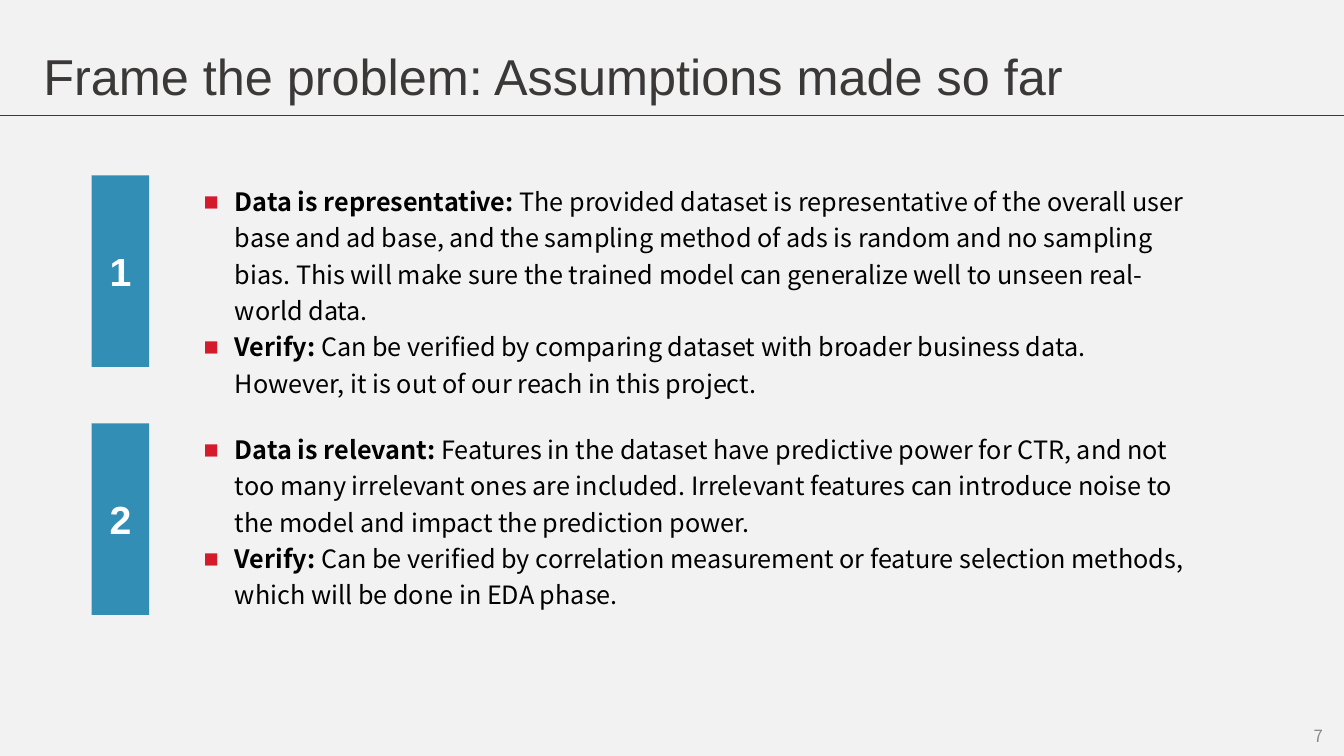
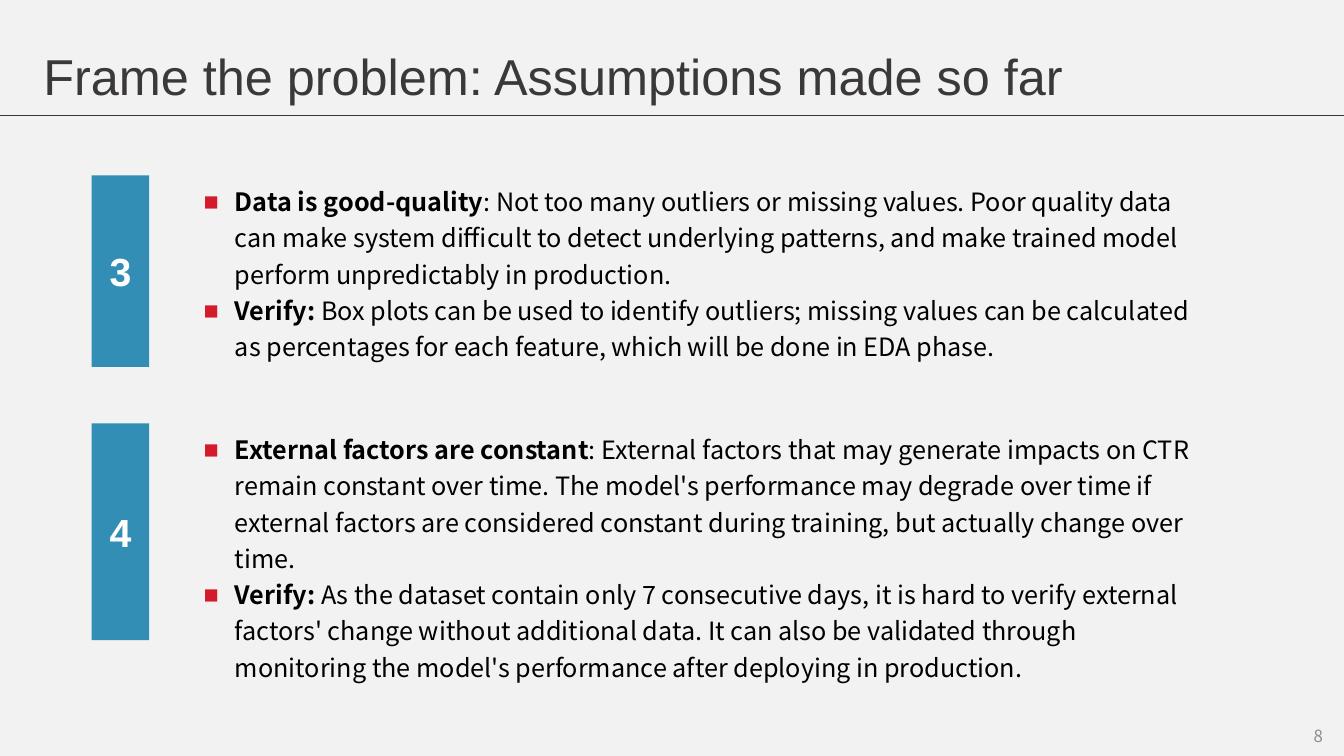
from dataclasses import dataclass

from lxml import etree
from pptx import Presentation
from pptx.dml.color import RGBColor
from pptx.enum import shapes, text
from pptx.oxml import ns
from pptx.util import Inches, Pt


# Shared colours, fonts and type sizes
@dataclass(frozen=True)
class Theme:
    background: RGBColor = RGBColor(0xF2, 0xF2, 0xF2)
    heading: RGBColor = RGBColor(0x3B, 0x38, 0x38)
    body: RGBColor = RGBColor(0, 0, 0)
    badge: RGBColor = RGBColor(0x32, 0x8E, 0xB5)
    badge_text: RGBColor = RGBColor(0xFF, 0xFF, 0xFF)
    page_number: RGBColor = RGBColor(0x8C, 0x8C, 0x8C)
    bullet: str = "D41B2C"
    heading_font: str = "Arial"
    body_font: str = "Noto Sans CJK SC"
    title_size: Pt = Pt(36)
    badge_size: Pt = Pt(28)
    body_size: Pt = Pt(18)
    page_number_size: Pt = Pt(12)


THEME = Theme()
SLIDE_WIDTH, SLIDE_HEIGHT = Inches(13.33), Inches(7.5)
TWO_CONTENT_LAYOUT = 3
ROW_TOPS = (Inches(1.74), Inches(4.2))
FIRST_PAGE = 7
TITLE = "Frame the problem: Assumptions made so far"


# Slide content: each assumption has a badge height and (bold lead, rest) bullets
@dataclass(frozen=True)
class Assumption:
    badge_height: float
    bullets: tuple


SLIDES = (
    (
        Assumption(1.9, (
            ("Data is representative: ",
             "The provided dataset is representative of the overall user base and ad base, "
             "and the sampling method of ads is random and no sampling bias. This will make "
             "sure the trained model can generalize well to unseen real-world data."),
            ("Verify: ",
             "Can be verified by comparing dataset with broader business data. However, it is "
             "out of our reach in this project."),
        )),
        Assumption(1.9, (
            ("Data is relevant:",
             " Features in the dataset have predictive power for CTR, and not too many "
             "irrelevant ones are included. Irrelevant features can introduce noise to the "
             "model and impact the prediction power."),
            ("Verify: ",
             "Can be verified by correlation measurement or feature selection methods, which "
             "will be done in EDA phase."),
        )),
    ),
    (
        Assumption(1.9, (
            ("Data is good-quality",
             ": Not too many outliers or missing values. Poor quality data can make system "
             "difficult to detect underlying patterns, and make trained model perform "
             "unpredictably in production."),
            ("Verify: ",
             "Box plots can be used to identify outliers; missing values can be calculated as "
             "percentages for each feature, which will be done in EDA phase."),
        )),
        Assumption(2.15, (
            ("External factors are constant",
             ": External factors that may generate impacts on CTR remain constant over time. "
             "The model's performance may degrade over time if external factors are considered "
             "constant during training, but actually change over time."),
            ("Verify: ",
             "As the dataset contain only 7 consecutive days, it is hard to verify external "
             "factors' change without additional data. It can also be validated through "
             "monitoring the model's performance after deploying in production."),
        )),
    ),
)


# Helpers
def place(shape, left, top, width, height):
    shape.left, shape.top, shape.width, shape.height = left, top, width, height


def style(paragraph, font_name, size, color, alignment, bold=None):
    font = paragraph.font
    font.name, font.size, font.bold = font_name, size, bold
    font.color.rgb = color
    paragraph.alignment = alignment
    paragraph.space_before = Pt(0)


def set_frame(shape, anchor):
    frame = shape.text_frame
    frame.word_wrap = True
    frame.auto_size = text.MSO_AUTO_SIZE.NONE
    frame.vertical_anchor = anchor
    return frame


def add_square_bullet(paragraph):
    properties = paragraph._p.get_or_add_pPr()
    properties.set("marL", str(Inches(0.31)))
    properties.set("indent", str(Inches(-0.31)))
    bullet_color = etree.Element(ns.qn("a:buClr"))
    etree.SubElement(bullet_color, ns.qn("a:srgbClr"), val=THEME.bullet)
    bullet_font = etree.Element(ns.qn("a:buFont"), typeface=THEME.heading_font)
    bullet = etree.Element(ns.qn("a:buChar"), char="■")
    defaults = properties.find(ns.qn("a:defRPr"))
    for element in (bullet_color, bullet_font, bullet):
        defaults.addprevious(element)


def add_block(slide, kind, left, top, width, height, color):
    block = slide.shapes.add_shape(kind, left, top, width, height)
    block.shadow.inherit = False
    block.fill.solid()
    block.fill.fore_color.rgb = color
    block.line.fill.background()
    return block


# Slide parts
def fill_title(slide):
    title = slide.shapes.title
    place(title, Inches(0.33), Inches(0.1), Inches(11.63), Inches(0.9))
    frame = set_frame(title, text.MSO_ANCHOR.TOP)
    frame.text = TITLE
    paragraph = frame.paragraphs[0]
    style(paragraph, THEME.heading_font, THEME.title_size, THEME.heading, text.PP_ALIGN.LEFT)
    paragraph.line_spacing = 1.5


def add_title_rule(slide):
    add_block(slide, shapes.MSO_SHAPE.FLOWCHART_PROCESS,
              0, Inches(1.14), SLIDE_WIDTH, Inches(0.01), THEME.heading)


def add_badge(slide, number, top, height):
    badge = add_block(slide, shapes.MSO_SHAPE.RECTANGLE,
                      Inches(0.91), top, Inches(0.57), height, THEME.badge)
    frame = set_frame(badge, text.MSO_ANCHOR.MIDDLE)
    frame.text = str(number)
    style(frame.paragraphs[0], THEME.heading_font, THEME.badge_size, THEME.badge_text,
          text.PP_ALIGN.CENTER, bold=True)


def fill_bullets(body, bullets, top, height):
    place(body, Inches(1.92), top, Inches(10.04), height)
    frame = set_frame(body, text.MSO_ANCHOR.TOP)
    for index, (lead, rest) in enumerate(bullets):
        paragraph = frame.add_paragraph() if index else frame.paragraphs[0]
        style(paragraph, THEME.body_font, THEME.body_size, THEME.body, text.PP_ALIGN.LEFT)
        paragraph.line_spacing = 1.2
        add_square_bullet(paragraph)
        lead_run = paragraph.add_run()
        lead_run.text = lead
        lead_run.font.bold = True
        paragraph.add_run().text = rest


def add_page_number(slide, number):
    box = slide.shapes.add_textbox(Inches(10.22), Inches(7.1), Inches(3), Inches(0.4))
    frame = set_frame(box, text.MSO_ANCHOR.MIDDLE)
    frame.text = str(number)
    style(frame.paragraphs[0], THEME.body_font, THEME.page_number_size, THEME.page_number,
          text.PP_ALIGN.RIGHT)


def add_assumption_slide(presentation, page, assumptions, first_number):
    slide = presentation.slides.add_slide(presentation.slide_layouts[TWO_CONTENT_LAYOUT])
    fill_title(slide)
    add_title_rule(slide)
    bodies = list(slide.placeholders)[1:]
    rows = zip(assumptions, bodies, ROW_TOPS)
    for number, (assumption, body, top) in enumerate(rows, first_number):
        height = Inches(assumption.badge_height)
        add_badge(slide, number, top, height)
        fill_bullets(body, assumption.bullets, top, height)
    add_page_number(slide, page)


def main():
    presentation = Presentation()
    presentation.slide_width, presentation.slide_height = SLIDE_WIDTH, SLIDE_HEIGHT
    background = presentation.slide_master.background.fill
    background.solid()
    background.fore_color.rgb = THEME.background
    for index, assumptions in enumerate(SLIDES):
        first_number = 1 + index * len(ROW_TOPS)
        add_assumption_slide(presentation, FIRST_PAGE + index, assumptions, first_number)
    presentation.save("out.pptx")


main()
